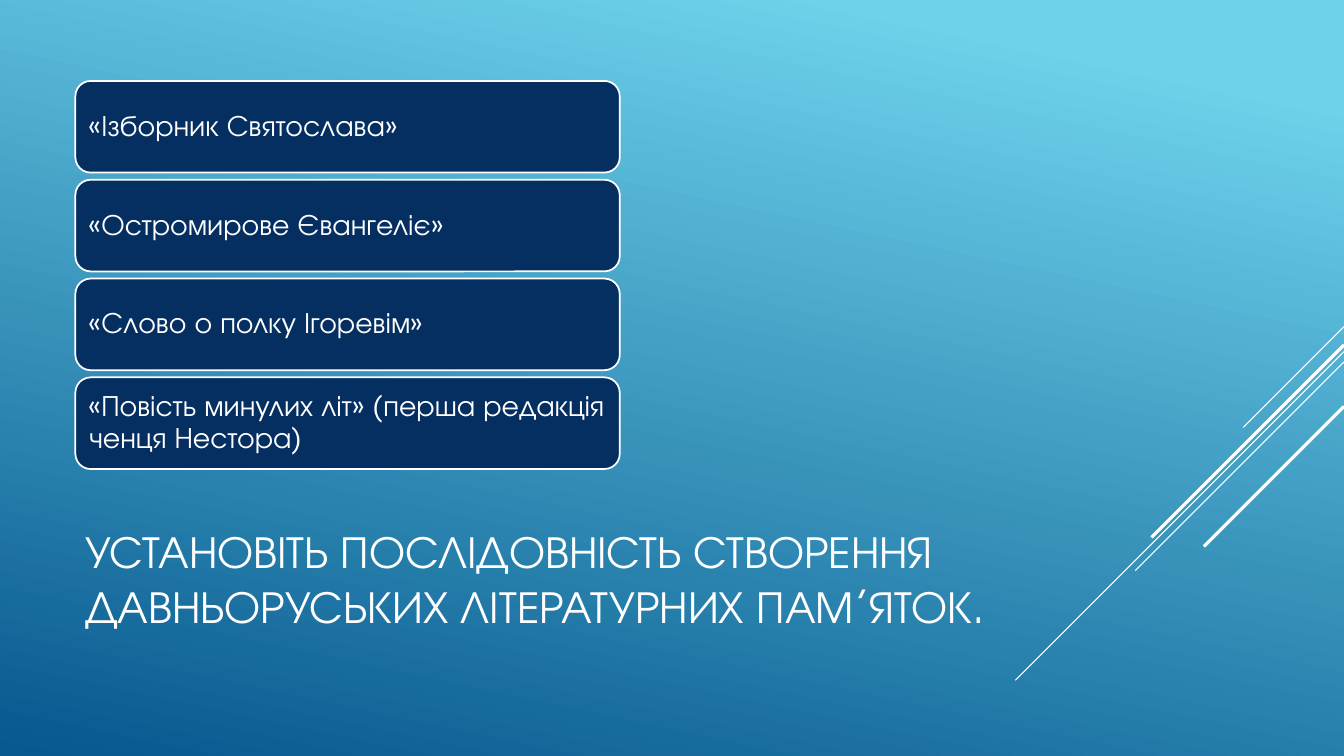
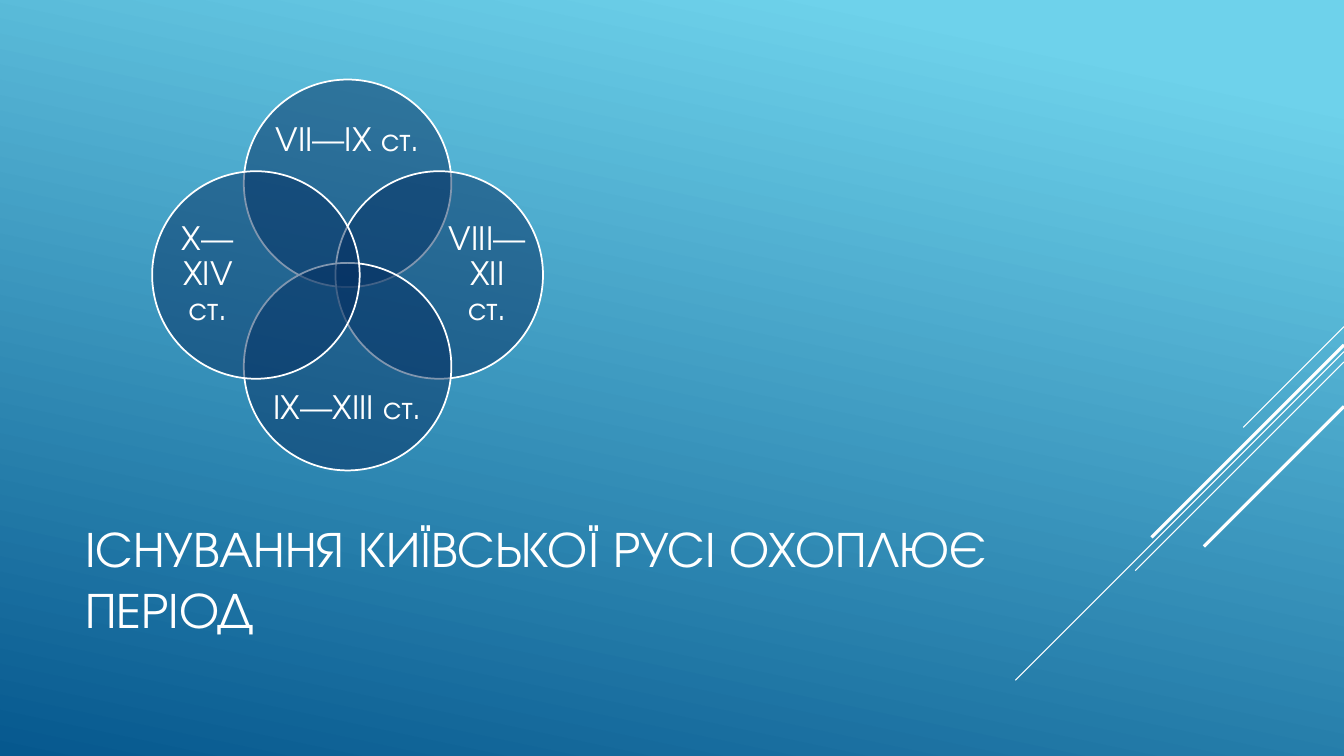
from lxml import etree
from pptx import Presentation
from pptx.dml.color import RGBColor
from pptx.enum import shapes, text
from pptx.oxml import ns
from pptx.util import Cm, Pt

WHITE, NAVY, SKY, DEEP = "FFFFFF", "052F61", "6ED2EB", "06588E"
FONT = "TeX Gyre Adventor"
LEFT = 1.9
WIDTH, HEIGHT = 33.87, 19.05

# Diagonal accents: start height on the right edge, run, line width
ACCENTS = [
    (8.23, 2.54, 0.75),
    (8.86, 8.28, 0.75),
    (9.12, 5.26, 0.75),
    (8.69, 4.85, 2.25),
    (10.24, 3.53, 2.25),
]


def paint(color_format, color):
    color_format.rgb = RGBColor.from_string(color)


def write(shape, words, size, inset, align=text.PP_ALIGN.LEFT, spacing=1.0):
    """Put one vertically centred white paragraph into a shape."""
    frame = shape.text_frame
    frame.word_wrap = True
    frame.vertical_anchor = text.MSO_ANCHOR.MIDDLE
    frame.margin_left = frame.margin_right = Cm(inset)
    frame.margin_top = frame.margin_bottom = Cm(inset)
    paragraph = frame.paragraphs[0]
    paragraph.alignment = align
    paragraph.line_spacing = spacing
    run = paragraph.add_run()
    run.text = words
    run.font.name = FONT
    run.font.size = Pt(size)
    paint(run.font.color, WHITE)


prs = Presentation()
prs.slide_width, prs.slide_height = Cm(WIDTH), Cm(HEIGHT)

backdrop = prs.slide_master.background.fill
backdrop.gradient()
backdrop.gradient_angle = 258
for stop, position, color in zip(backdrop.gradient_stops, (0.1, 1), (SKY, DEEP)):
    stop.position = position
    paint(stop.color, color)

# Accents and title on both slides
titles = [
    ("УСТАНОВІТЬ ПОСЛІДОВНІСТЬ СТВОРЕННЯ ДАВНЬОРУСЬКИХ ЛІТЕРАТУРНИХ ПАМ’ЯТОК.", 32.4),
    ("ІСНУВАННЯ КИЇВСЬКОЇ РУСІ ОХОПЛЮЄ ПЕРІОД", 36),
]
for words, size in titles:
    slide = prs.slides.add_slide(prs.slide_layouts[6])
    for start, run_length, weight in ACCENTS:
        accent = slide.shapes.add_connector(
            shapes.MSO_CONNECTOR.STRAIGHT,
            Cm(WIDTH), Cm(start), Cm(WIDTH - run_length), Cm(start + run_length))
        accent.line.width = Pt(weight)
        paint(accent.line.color, WHITE)
        etree.SubElement(accent._element.spPr, ns.qn("a:effectLst"))
    title = slide.shapes.add_textbox(Cm(LEFT), Cm(12.47), Cm(23.7), Cm(4.19))
    write(title, words, size, 0.25)

monuments_slide, period_slide = prs.slides

# Slide 1: list of literary monuments
monuments = [
    "«Ізборник Святослава»",
    "«Остромирове Євангеліє»",
    "«Слово о полку Ігоревім»",
    "«Повість минулих літ» (перша редакція ченця Нестора)",
]
for row, monument in enumerate(monuments):
    card = monuments_slide.shapes.add_shape(
        shapes.MSO_SHAPE.ROUNDED_RECTANGLE,
        Cm(LEFT), Cm(2.04 + row * 2.49), Cm(13.72), Cm(2.31))
    card.shadow.inherit = False
    card.fill.solid()
    paint(card.fill.fore_color, NAVY)
    card.line.width = Pt(1.25)
    paint(card.line.color, WHITE)
    write(card, monument, 21, 0.23, spacing=0.9)

# Slide 2: four overlapping circles around one centre
CENTER_X, CENTER_Y = 8.76, 6.93
DIAMETER, CIRCLE_SHIFT = 5.23, 2.31
SIDE_LABEL = (3.52, 2.01, 4.01)  # shift from the centre, width, height
END_LABEL = (3.38, 4.01, 1.65)
periods = [
    ("VII—IX ст.", 0, -1),
    ("VIII—XII ст.", 1, 0),
    ("IX—XIII ст.", 0, 1),
    ("X—XIV ст.", -1, 0),
]
for period, dx, dy in periods:
    circle = period_slide.shapes.add_shape(
        shapes.MSO_SHAPE.OVAL,
        Cm(CENTER_X + dx * CIRCLE_SHIFT - DIAMETER / 2),
        Cm(CENTER_Y + dy * CIRCLE_SHIFT - DIAMETER / 2),
        Cm(DIAMETER), Cm(DIAMETER))
    circle.shadow.inherit = False
    circle.fill.solid()
    paint(circle.fill.fore_color, NAVY)
    navy = circle._element.spPr.find(ns.qn("a:solidFill")).find(ns.qn("a:srgbClr"))
    etree.SubElement(navy, ns.qn("a:alpha"), val="50000")
    circle.line.width = Pt(1.25)
    paint(circle.line.color, WHITE)

    shift, width, height = SIDE_LABEL if dx else END_LABEL
    label = period_slide.shapes.add_textbox(
        Cm(CENTER_X + dx * shift - width / 2), Cm(CENTER_Y + dy * shift - height / 2),
        Cm(width), Cm(height))
    write(label, period, 23, 0, text.PP_ALIGN.CENTER, 0.9)

prs.save("out.pptx")
